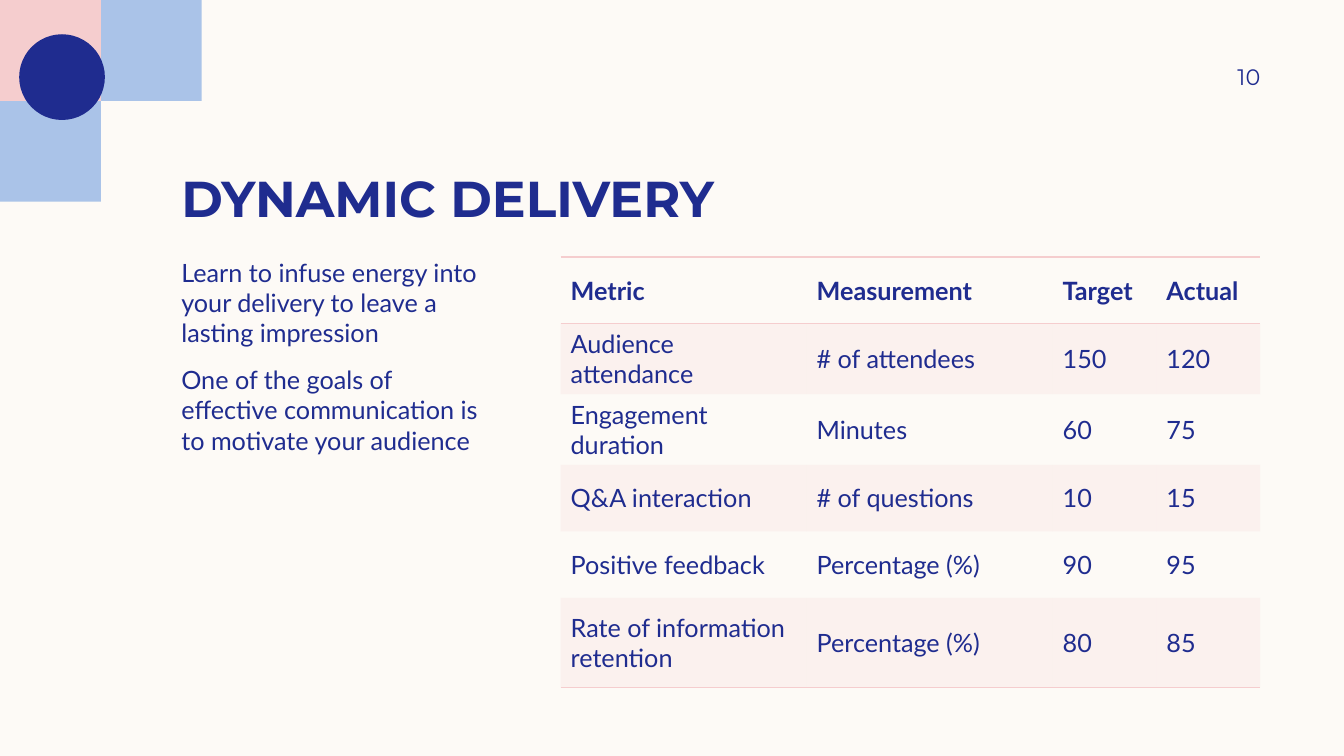
from dataclasses import dataclass

from lxml import etree
from pptx import Presentation
from pptx.dml.color import RGBColor
from pptx.enum.shapes import MSO_SHAPE
from pptx.enum.text import MSO_ANCHOR, PP_ALIGN
from pptx.oxml.ns import qn
from pptx.util import Inches, Pt

OVAL = MSO_SHAPE.OVAL
TOP, MIDDLE, BOTTOM = MSO_ANCHOR.TOP, MSO_ANCHOR.MIDDLE, MSO_ANCHOR.BOTTOM
LEFT, RIGHT = PP_ALIGN.LEFT, PP_ALIGN.RIGHT


@dataclass(frozen=True)
class Theme:
    cream: str = "FDFAF6"
    blue: str = "AAC3E8"
    pink: str = "F5CDCE"
    navy: str = "1F2C8F"
    heading_font: str = "Montserrat"
    body_font: str = "Lato"
    title_size: int = 36
    body_size: int = 18
    number_size: int = 16
    band_opacity: int = 20
    rule_width: int = 1


METRICS = [
    ("Metric", "Measurement", "Target", "Actual"),
    ("Audience attendance", "# of attendees", "150", "120"),
    ("Engagement duration", "Minutes", "60", "75"),
    ("Q&A interaction", "# of questions", "10", "15"),
    ("Positive feedback", "Percentage (%)", "90", "95"),
    ("Rate of information retention", "Percentage (%)", "80", "85"),
]
COLUMN_WIDTHS = (2.44, 2.44, 1.03, 1.03)
ROW_HEIGHTS = (0.66, 0.7, 0.7, 0.66, 0.66, 0.89)
RULED_EDGES = (0, 1, len(METRICS))


def curve_points(start, control_1, control_2, end, steps=40):
    """Points along a cubic Bezier curve, both ends included."""
    points = []
    for step in range(steps + 1):
        t = step / steps
        weights = ((1 - t) ** 3, 3 * t * (1 - t) ** 2, 3 * t * t * (1 - t), t ** 3)
        corners = (start, control_1, control_2, end)
        points.append(tuple(sum(weight * corner[axis] for weight, corner in zip(weights, corners))
                            for axis in (0, 1)))
    return points


class SlideBuilder:
    def __init__(self, slide, theme):
        self.slide = slide
        self.theme = theme

    def background(self, color):
        fill = self.slide.background.fill
        fill.solid()
        fill.fore_color.rgb = RGBColor.from_string(color)

    def paint(self, shape, color):
        shape.shadow.inherit = False
        shape.fill.solid()
        shape.fill.fore_color.rgb = RGBColor.from_string(color)
        shape.line.fill.background()

    def outline(self, points, color):
        builder = self.slide.shapes.build_freeform(*points[0], scale=Inches(1))
        builder.add_line_segments(points[1:], close=True)
        self.paint(builder.convert_to_shape(), color)

    def dot(self, left, top, diameter, color):
        shape = self.slide.shapes.add_shape(
            OVAL, Inches(left), Inches(top), Inches(diameter), Inches(diameter))
        self.paint(shape, color)

    def format_runs(self, paragraph, size, font_name, bold=False):
        for run in paragraph.runs:
            run.font.size = Pt(size)
            run.font.name = font_name
            run.font.bold = bold
            run.font.color.rgb = RGBColor.from_string(self.theme.navy)

    def text(self, box, text, size, font_name, bold=False, anchor=TOP,
             align=LEFT, right_margin=0.1, space_after=0):
        shape = self.slide.shapes.add_textbox(*map(Inches, box))
        frame = shape.text_frame
        frame.word_wrap = True
        frame.vertical_anchor = anchor
        frame.margin_left, frame.margin_right = Inches(0.1), Inches(right_margin)
        frame.margin_top = frame.margin_bottom = 0
        frame.text = text
        for paragraph in frame.paragraphs:
            paragraph.alignment = align
            paragraph.space_after = Pt(space_after)
            self.format_runs(paragraph, size, font_name, bold)

    def table(self, left, top, rows, column_widths, row_heights, ruled_edges):
        table = self.slide.shapes.add_table(
            len(rows), len(column_widths), Inches(left), Inches(top),
            Inches(sum(column_widths)), Inches(sum(row_heights))).table
        table.first_row = table.horz_banding = False
        for column, width in zip(table.columns, column_widths):
            column.width = Inches(width)
        for row, height in zip(table.rows, row_heights):
            row.height = Inches(height)
        for row_index, values in enumerate(rows):
            for column_index, value in enumerate(values):
                cell = table.cell(row_index, column_index)
                cell.text = value
                cell.vertical_anchor = MIDDLE
                self.format_runs(cell.text_frame.paragraphs[0], self.theme.body_size,
                                 self.theme.body_font, bold=row_index == 0)
                self.band(cell, shaded=row_index % 2 == 1)
                self.borders(cell, row_index in ruled_edges, row_index + 1 in ruled_edges)

    def band(self, cell, shaded):
        if not shaded:
            cell.fill.background()
            return
        cell.fill.solid()
        cell.fill.fore_color.rgb = RGBColor.from_string(self.theme.pink)
        color = next(cell._tc.tcPr.iter(qn("a:srgbClr")))
        etree.SubElement(color, qn("a:alpha"), val=str(self.theme.band_opacity * 1000))

    def borders(self, cell, top, bottom):
        """Rule the chosen edges and clear the others; borders must precede the fill."""
        sides = (("a:lnL", False), ("a:lnR", False), ("a:lnT", top), ("a:lnB", bottom))
        for position, (tag, ruled) in enumerate(sides):
            line = etree.Element(qn(tag), w=str(Pt(self.theme.rule_width)))
            if ruled:
                fill = etree.SubElement(line, qn("a:solidFill"))
                etree.SubElement(fill, qn("a:srgbClr"), val=self.theme.pink)
            else:
                etree.SubElement(line, qn("a:noFill"))
            cell._tc.tcPr.insert(position, line)


def main():
    theme = Theme()
    presentation = Presentation()
    presentation.slide_width, presentation.slide_height = Inches(13.33), Inches(7.5)
    slide = presentation.slides.add_slide(presentation.slide_layouts[6])
    builder = SlideBuilder(slide, theme)
    builder.background(theme.cream)

    outer_arc = curve_points((1.7, 0), (1.7, 1.12), (1.12, 2.09), (0.24, 2.65))
    inner_arc = curve_points((0.74, 0.22), (0.68, 0.73), (0.46, 1.19), (0.11, 1.54))
    builder.outline([(0, 0), *outer_arc, (0, 2.78)], theme.blue)
    builder.outline([(0, 0), (0.75, 0), *inner_arc, (0, 1.64)], theme.pink)
    builder.dot(0.19, 0.34, 0.85, theme.navy)

    builder.text((1.7, 1.19, 10.8, 1.07), "DYNAMIC DELIVERY", theme.title_size,
                 theme.heading_font, bold=True, anchor=BOTTOM)
    builder.text((1.7, 2.55, 3.25, 4.05),
                 "Learn to infuse energy into your delivery to leave a lasting impression\n"
                 "One of the goals of effective communication is to motivate your audience",
                 theme.body_size, theme.body_font, space_after=12)
    builder.table(5.56, 2.55, METRICS, COLUMN_WIDTHS, ROW_HEIGHTS, RULED_EDGES)
    builder.text((11.33, 0.5, 1.17, 0.52), "10", theme.number_size, theme.heading_font,
                 anchor=MIDDLE, align=RIGHT, right_margin=0)
    presentation.save("out.pptx")


if __name__ == "__main__":
    main()
